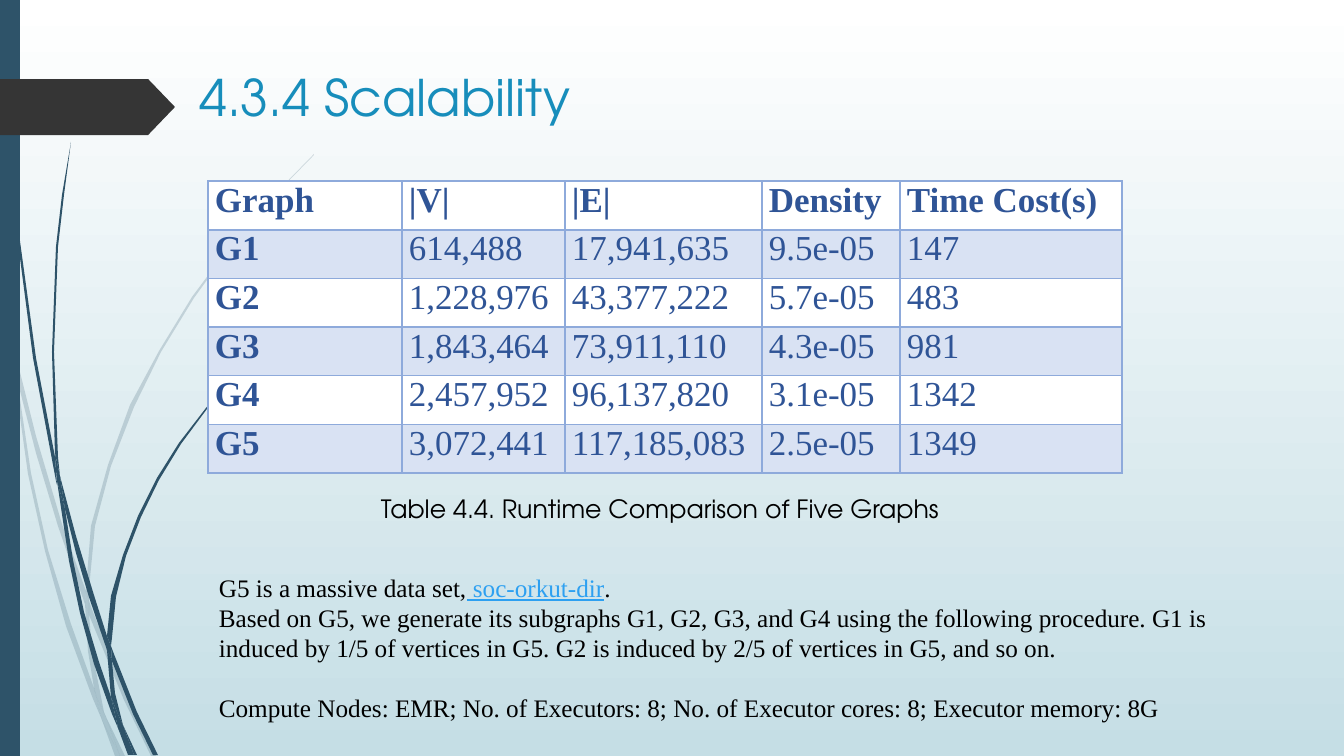
import dataclasses

import lxml.etree
import pptx
import pptx.dml.color
import pptx.enum.shapes
import pptx.enum.text
import pptx.oxml
import pptx.oxml.ns
import pptx.util

# Content
TITLE = "4.3.4 Scalability"
CAPTION = "Table 4.4. Runtime Comparison of Five Graphs"
RUNTIMES = [
    ("Graph", "|V|", "|E|", "Density", "Time Cost(s)"),
    ("G1", "614,488", "17,941,635", "9.5e-05", "147"),
    ("G2", "1,228,976", "43,377,222", "5.7e-05", "483"),
    ("G3", "1,843,464", "73,911,110", "4.3e-05", "981"),
    ("G4", "2,457,952", "96,137,820", "3.1e-05", "1342"),
    ("G5", "3,072,441", "117,185,083", "2.5e-05", "1349"),
]
DATA_SET = ("G5 is a massive data set,", " soc-orkut-dir", ".")
PROCEDURE = (
    "Based on G5, we generate its subgraphs G1, G2, G3, and G4 using the following procedure. "
    "G1 is induced by 1/5 of vertices in G5. G2 is induced by 2/5 of vertices in G5, and so on."
)
CLUSTER = "Compute Nodes: EMR; No. of Executors: 8; No. of Executor cores: 8; Executor memory: 8G"

# Sections of the grass blades, each an outline in px
PALE_GRASS = [
    [(11, 353), (9, 325), (0, 284), (0, 301), (10, 347)],
    [(58, 526), (85, 604), (86, 591), (62, 524), (36, 436), (14, 348), (17, 379), (36, 453)],
    [(93, 612), (89, 601), (89, 615), (124, 700), (151, 756), (156, 756), (128, 698)],
    [(120, 756), (125, 756), (106, 717)],
    [(94, 688), (71, 624), (48, 550), (31, 473), (17, 379), (11, 353), (28, 474), (45, 551),
     (66, 626), (93, 699), (102, 720), (100, 713)],
    [(85, 604), (88, 651), (94, 688), (97, 698), (106, 717), (104, 712), (92, 651), (89, 613)],
    [(89, 589), (95, 526), (111, 466), (134, 407), (161, 352), (194, 298), (231, 247),
     (270, 200), (314, 155), (314, 154), (270, 199), (230, 246), (192, 297), (159, 351),
     (130, 405), (108, 465), (91, 526), (86, 589), (86, 591), (89, 601)],
    [(102, 720), (115, 756), (120, 756)],
    [(89, 613), (89, 601), (86, 591), (85, 604)],
    [(97, 698), (94, 688), (100, 713), (102, 720), (120, 756), (106, 717)],
]
DARK_GRASS = [
    [(7, 111), (17, 235), (33, 358), (56, 481), (57, 485), (55, 457), (36, 358), (19, 234),
     (8, 110), (5, 48), (4, 0), (3, 0), (4, 48)],
    [(89, 597), (107, 650), (107, 636), (94, 595), (76, 536), (60, 476), (65, 509), (76, 553)],
    [(114, 654), (111, 646), (112, 661), (133, 714), (153, 755), (158, 755), (137, 712)],
    [(111, 697), (99, 662), (84, 612), (73, 560), (65, 509), (57, 481), (69, 561), (80, 613),
     (94, 664), (112, 714), (118, 728), (117, 723)],
    [(60, 476), (58, 457), (54, 352), (58, 247), (64, 195), (71, 142), (62, 195), (56, 247),
     (52, 352), (55, 453)],
    [(134, 755), (137, 755), (123, 725)],
    [(57, 481), (65, 509), (60, 476), (55, 453), (55, 457)],
    [(112, 638), (116, 597), (126, 556), (141, 517), (159, 480), (181, 444), (207, 409),
     (233, 377), (263, 347), (262, 347), (233, 376), (206, 408), (179, 443), (157, 478),
     (138, 516), (123, 555), (111, 596), (107, 636), (111, 646)],
    [(118, 728), (128, 755), (132, 755)],
    [(107, 650), (111, 697), (117, 712), (123, 725), (115, 693), (112, 661), (110, 656)],
    [(107, 650), (110, 656), (112, 661), (111, 646), (107, 636)],
    [(117, 712), (111, 697), (117, 723), (118, 728), (131, 755), (134, 755), (123, 725)],
]

# Layout in px
SLIDE_SIZE = (1344, 756)
SIDE_BAR = (0, 0, 20, 756)
TITLE_ARROW = (0, 79, 175, 56)
TITLE_BOX = (189, 61, 1155, 146)
TABLE_BOX = (208, 181, 914, 292)
COLUMN_WIDTHS = (194, 163, 197, 138, 222)
CELL_INSET = 7
NOTES_BOX = (209, 567, 1033, 163)
CAPTION_BOX = (371, 488, 589, 40)
EMU_PER_PX = 914400 / 100.8


@dataclasses.dataclass(frozen=True)
class Theme:
    heading_font: str = "TeX Gyre Adventor"
    body_font: str = "Times New Roman"
    title_size: int = 36
    table_size: int = 25
    body_size: int = 18
    title: str = "178DBB"
    text: str = "000000"
    link: str = "2DA0F1"
    table_text: str = "2F5496"
    border: str = "8EAADB"
    row: str = "FFFFFF"
    band: str = "D9E2F3"
    grass: str = "2E5369"
    arrow: str = "353535"
    sky_top: str = "FFFFFF"
    sky_bottom: str = "C5DEE5"


THEME = Theme()


def px(length):
    return pptx.util.Emu(round(length * EMU_PER_PX))


def rgb(code):
    return pptx.dml.color.RGBColor.from_string(code)


def paint(shape, color, opacity=100):
    shape.shadow.inherit = False
    shape.fill.solid()
    shape.fill.fore_color.rgb = rgb(color)
    shape.line.fill.background()
    if opacity < 100:
        tint = shape.fill._xPr.find(".//" + pptx.oxml.ns.qn("a:srgbClr"))
        lxml.etree.SubElement(tint, pptx.oxml.ns.qn("a:alpha"), val=str(opacity * 1000))


def style(font, name, size, color, bold=False):
    font.name, font.size, font.bold = name, pptx.util.Pt(size), bold
    font.color.rgb = rgb(color)


def add_grass(slide, outline, opacity):
    points = [(px(x), px(y)) for x, y in outline]
    builder = slide.shapes.build_freeform(*points[0], scale=1.0)
    builder.add_line_segments(points[1:], close=True)
    paint(builder.convert_to_shape(), THEME.grass, opacity)


def add_block(slide, kind, box, color):
    shape = slide.shapes.add_shape(kind, *map(px, box))
    paint(shape, color)
    return shape


def add_borders(cell, widths):
    properties = cell._tc.get_or_add_tcPr()
    for index, (side, points) in enumerate(widths.items()):
        properties.insert(index, pptx.oxml.parse_xml(
            f'<a:{side} {pptx.oxml.ns.nsdecls("a")} w="{round(points * 12700)}"><a:solidFill>'
            f'<a:srgbClr val="{THEME.border}"/></a:solidFill></a:{side}>'))


def add_runtime_table(slide):
    table = slide.shapes.add_table(len(RUNTIMES), len(COLUMN_WIDTHS), *map(px, TABLE_BOX)).table
    for column, width in zip(table.columns, COLUMN_WIDTHS):
        column.width = px(width)
    for row_index, values in enumerate(RUNTIMES):
        table.rows[row_index].height = px(TABLE_BOX[3] / len(RUNTIMES))
        for column_index, value in enumerate(values):
            cell = table.cell(row_index, column_index)
            cell.text = value
            cell.margin_left = cell.margin_right = px(CELL_INSET)
            cell.margin_top = cell.margin_bottom = 0
            cell.fill.solid()
            cell.fill.fore_color.rgb = rgb(THEME.band if row_index % 2 else THEME.row)
            style(cell.text_frame.paragraphs[0].font, THEME.body_font, THEME.table_size,
                  THEME.table_text, bold=row_index == 0 or column_index == 0)
            add_borders(cell, {"lnL": 1, "lnR": 1, "lnT": 1.5 if row_index == 1 else 1,
                               "lnB": 1.5 if row_index == 0 else 1})


def add_notes(slide):
    frame = slide.shapes.add_textbox(*map(px, NOTES_BOX)).text_frame
    frame.word_wrap = True
    opening = frame.paragraphs[0]
    for text, color in zip(DATA_SET, (THEME.text, THEME.link, THEME.text)):
        run = opening.add_run()
        run.text = text
        style(run.font, THEME.body_font, THEME.body_size, color)
        run.font.underline = color == THEME.link
    for text, gap in ((PROCEDURE, 0), (CLUSTER, 21)):
        paragraph = frame.add_paragraph()
        paragraph.text = text
        paragraph.space_before = pptx.util.Pt(gap)
        style(paragraph.font, THEME.body_font, THEME.body_size, THEME.text)


def main():
    presentation = pptx.Presentation()
    presentation.slide_width, presentation.slide_height = map(px, SLIDE_SIZE)
    slide = presentation.slides.add_slide(presentation.slide_layouts[5])

    # Background
    sky = slide.background.fill
    sky.gradient()
    sky.gradient_angle = 270
    for stop, color in zip(sky.gradient_stops, (THEME.sky_top, THEME.sky_bottom)):
        stop.color.rgb = rgb(color)

    # Decoration
    for sections, opacity in ((PALE_GRASS, 20), (DARK_GRASS, 100)):
        for outline in sections:
            add_grass(slide, outline, opacity)
    shapes = pptx.enum.shapes.MSO_SHAPE
    add_block(slide, shapes.RECTANGLE, SIDE_BAR, THEME.grass)
    add_block(slide, shapes.PENTAGON, TITLE_ARROW, THEME.arrow).adjustments[0] = 0.48

    # Title
    title = slide.shapes.title
    title.left, title.top, title.width, title.height = map(px, TITLE_BOX)
    title.text_frame.text = TITLE
    title.text_frame.vertical_anchor = pptx.enum.text.MSO_ANCHOR.TOP
    heading = title.text_frame.paragraphs[0]
    heading.alignment = pptx.enum.text.PP_ALIGN.LEFT
    style(heading.font, THEME.heading_font, THEME.title_size, THEME.title)

    # Table, notes and caption
    add_runtime_table(slide)
    add_notes(slide)
    caption = slide.shapes.add_textbox(*map(px, CAPTION_BOX)).text_frame
    caption.word_wrap = False
    caption.text = CAPTION
    style(caption.paragraphs[0].font, THEME.heading_font, THEME.body_size, THEME.text)

    presentation.save("out.pptx")


if __name__ == "__main__":
    main()
